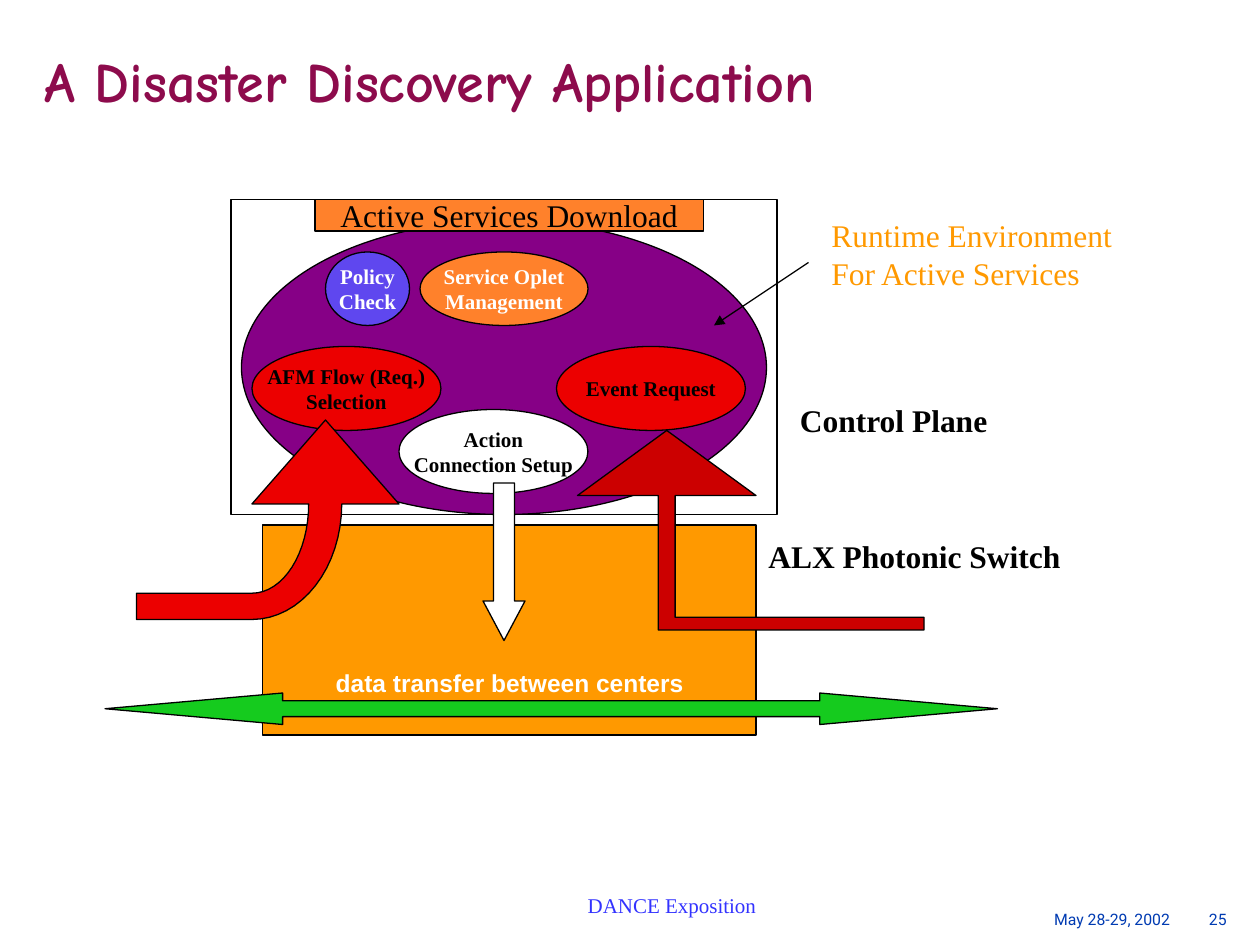
from dataclasses import dataclass
from math import cos, pi, sin

from lxml import etree
from pptx import Presentation
from pptx.dml.color import RGBColor
from pptx.enum.shapes import MSO_CONNECTOR, MSO_SHAPE
from pptx.enum.text import MSO_ANCHOR, MSO_AUTO_SIZE, PP_ALIGN
from pptx.oxml.ns import qn
from pptx.util import Emu, Inches, Pt

RECT, OVAL = MSO_SHAPE.RECTANGLE, MSO_SHAPE.OVAL
DOWN, BOTH_WAYS = MSO_SHAPE.DOWN_ARROW, MSO_SHAPE.LEFT_RIGHT_ARROW
LEFT, CENTER, RIGHT = PP_ALIGN.LEFT, PP_ALIGN.CENTER, PP_ALIGN.RIGHT
TOP, MIDDLE = MSO_ANCHOR.TOP, MSO_ANCHOR.MIDDLE

BLACK = RGBColor(0x00, 0x00, 0x00)
WHITE = RGBColor(0xFF, 0xFF, 0xFF)
AMBER = RGBColor(0xFF, 0x99, 0x00)
ORANGE = RGBColor(0xFF, 0x81, 0x2B)
PURPLE = RGBColor(0x86, 0x00, 0x86)
VIOLET = RGBColor(0x5F, 0x47, 0xEF)
RED = RGBColor(0xEC, 0x00, 0x00)
DARK_RED = RGBColor(0xCC, 0x00, 0x00)
GREEN = RGBColor(0x15, 0xCB, 0x1E)
PLUM = RGBColor(0x8D, 0x0B, 0x4C)
NAVY = RGBColor(0x00, 0x3B, 0xB2)
BLUE = RGBColor(0x33, 0x33, 0xFF)

SERIF = "Times New Roman"
CELL = Inches(1) // 12  # the slide is a grid of 120 columns by 90 rows
Point = tuple[float, float]


@dataclass
class Block:
    kind: MSO_SHAPE
    box: tuple[float, float, float, float]  # column, row, columns, rows
    fill: RGBColor
    text: str = ""
    color: RGBColor = BLACK
    size: int = 12
    bold: bool = True
    adjustments: tuple[float, ...] = ()


@dataclass
class Label:
    box: tuple[float, float, float, float]
    text: str
    color: RGBColor
    size: int = 18
    bold: bool = False
    font: str = SERIF
    align: PP_ALIGN = LEFT
    spacing: float = 1.0
    inset: float = 0.05
    wrap: bool = False


FRAMES = [
    Block(RECT, (22, 19, 52, 30), WHITE),
    Block(RECT, (25, 50, 47, 20), AMBER),
    Block(OVAL, (23, 21, 50, 28), PURPLE),
    Block(OVAL, (31, 24, 8, 7), VIOLET, "Policy\nCheck", WHITE),
    Block(OVAL, (40, 24, 16, 7), ORANGE, "Service Oplet\nManagement", WHITE),
    Block(OVAL, (38, 39, 18, 8), WHITE, "Action\nConnection Setup"),
    Block(OVAL, (24, 33, 18, 8), RED, "AFM Flow (Req.)\nSelection"),
]
FLOWS = [
    Block(DOWN, (46, 46, 4, 15), WHITE, adjustments=(0.5, 0.94)),
    Block(BOTH_WAYS, (10, 66, 85, 3), GREEN, adjustments=(0.5, 5.64)),
    Block(RECT, (30, 19, 37, 3), ORANGE, "Active Services Download", size=18, bold=False),
    Block(OVAL, (53, 33, 18, 8), RED, "Event Request"),
]
LABELS = [
    Label((30.8, 63, 35.3, 3.8), "data transfer between centers", WHITE, 14, True, "Arial"),
    Label((78, 20, 29.2, 8.4), "Runtime Environment\nFor Active Services", AMBER),
    Label((75, 38, 20.4, 4.4), "Control Plane", BLACK, bold=True, spacing=0.9),
    Label((72, 51, 29.3, 4.4), "ALX Photonic Switch", BLACK, bold=True, spacing=0.9),
    Label((37, 85, 54, 2.4), "DANCE Exposition", BLUE, 12, align=CENTER, inset=0, wrap=True),
    Label((90, 86.6, 22.6, 2), "May 28-29, 2002", NAVY, 9, False, "Roboto", RIGHT, inset=0, wrap=True),
    Label((112.6, 86.6, 5.4, 2), "25", NAVY, 9, False, "Roboto", RIGHT, inset=0, wrap=True),
]


def grid(*cells: float) -> list[Emu]:
    return [Emu(round(c * CELL)) for c in cells]


def quarter(center: Point, rx: float, ry: float, steps: int = 16) -> list[Point]:
    """Points on an ellipse from its right end to its bottom."""
    angles = [pi / 2 * i / steps for i in range(steps + 1)]
    return [(center[0] + rx * cos(a), center[1] + ry * sin(a)) for a in angles]


def write(sp, text: str, font: dict, align=LEFT, anchor=TOP, spacing=1.0, inset=0.05, wrap=False) -> None:
    tf = sp.text_frame
    frame = {"auto_size": MSO_AUTO_SIZE.NONE, "word_wrap": wrap, "vertical_anchor": anchor,
             "margin_top": Inches(inset), "margin_bottom": Inches(inset)}
    for name, value in frame.items():
        setattr(tf, name, value)
    color = font.pop("color")
    tf.text = text
    for p in tf.paragraphs:
        p.alignment, p.line_spacing = align, spacing
        for r in p.runs:
            r.font.color.rgb = color
            for name, value in font.items():
                setattr(r.font, name, value)


def paint(sp, fill: RGBColor) -> None:
    sp.shadow.inherit = False
    sp.fill.solid()
    sp.fill.fore_color.rgb = fill
    sp.line.color.rgb = BLACK
    sp.line.width = Pt(0.75)


def add_block(s, b: Block) -> None:
    sp = s.shapes.add_shape(b.kind, *grid(*b.box))
    paint(sp, b.fill)
    for i, value in enumerate(b.adjustments):
        sp.adjustments[i] = value
    if b.text:
        font = {"name": SERIF, "size": Pt(b.size), "bold": b.bold, "color": b.color}
        write(sp, b.text, font, CENTER, MIDDLE)


def add_label(s, t: Label) -> None:
    font = {"name": t.font, "size": Pt(t.size), "bold": t.bold, "color": t.color}
    write(s.shapes.add_textbox(*grid(*t.box)), t.text, font, t.align,
          spacing=t.spacing, inset=t.inset, wrap=t.wrap)


def add_outline(s, points: list[Point], fill: RGBColor) -> None:
    start, *rest = [tuple(grid(*point)) for point in points]
    builder = s.shapes.build_freeform(*start)
    builder.add_line_segments(rest, close=True)
    paint(builder.convert_to_shape(), fill)


def add_pointer(s, start: Point, end: Point) -> None:
    line = s.shapes.add_connector(MSO_CONNECTOR.STRAIGHT, *grid(*start, *end))
    line.line.color.rgb = BLACK
    line.line.width = Pt(0.75)
    etree.SubElement(line.line._get_or_add_ln(), qn("a:tailEnd"), type="triangle")
    etree.SubElement(line._element.spPr, qn("a:effectLst"))


def main() -> None:
    prs = Presentation()
    prs.slide_width, prs.slide_height = grid(120, 90)
    s = prs.slides.add_slide(prs.slide_layouts[5])

    title = s.shapes.title
    title.left, title.top, title.width, title.height = grid(3, 3, 96, 10)
    font = {"name": "Comic Neue", "size": Pt(32), "bold": True, "color": PLUM}
    write(title, "A Disaster Discovery Application", font, LEFT, MIDDLE, 0.9, wrap=True)

    for block in FRAMES:
        add_block(s, block)
    bend = (24, 48)
    add_outline(s, [(31, 40), (38, 48), *quarter(bend, 8.55, 11), (13, 59), (13, 56.5),
                    *reversed(quarter(bend, 5.4, 8.5)), bend], RED)
    for block in FLOWS:
        add_block(s, block)
    add_outline(s, [(63.5, 41), (72, 47.2), (64.3, 47.2), (64.3, 58.8), (88, 58.8),
                    (88, 60), (62.7, 60), (62.7, 47.2), (55, 47.2)], DARK_RED)
    add_pointer(s, (77, 25), (68, 31))
    for label in LABELS:
        add_label(s, label)
    prs.save("out.pptx")


if __name__ == "__main__":
    main()
